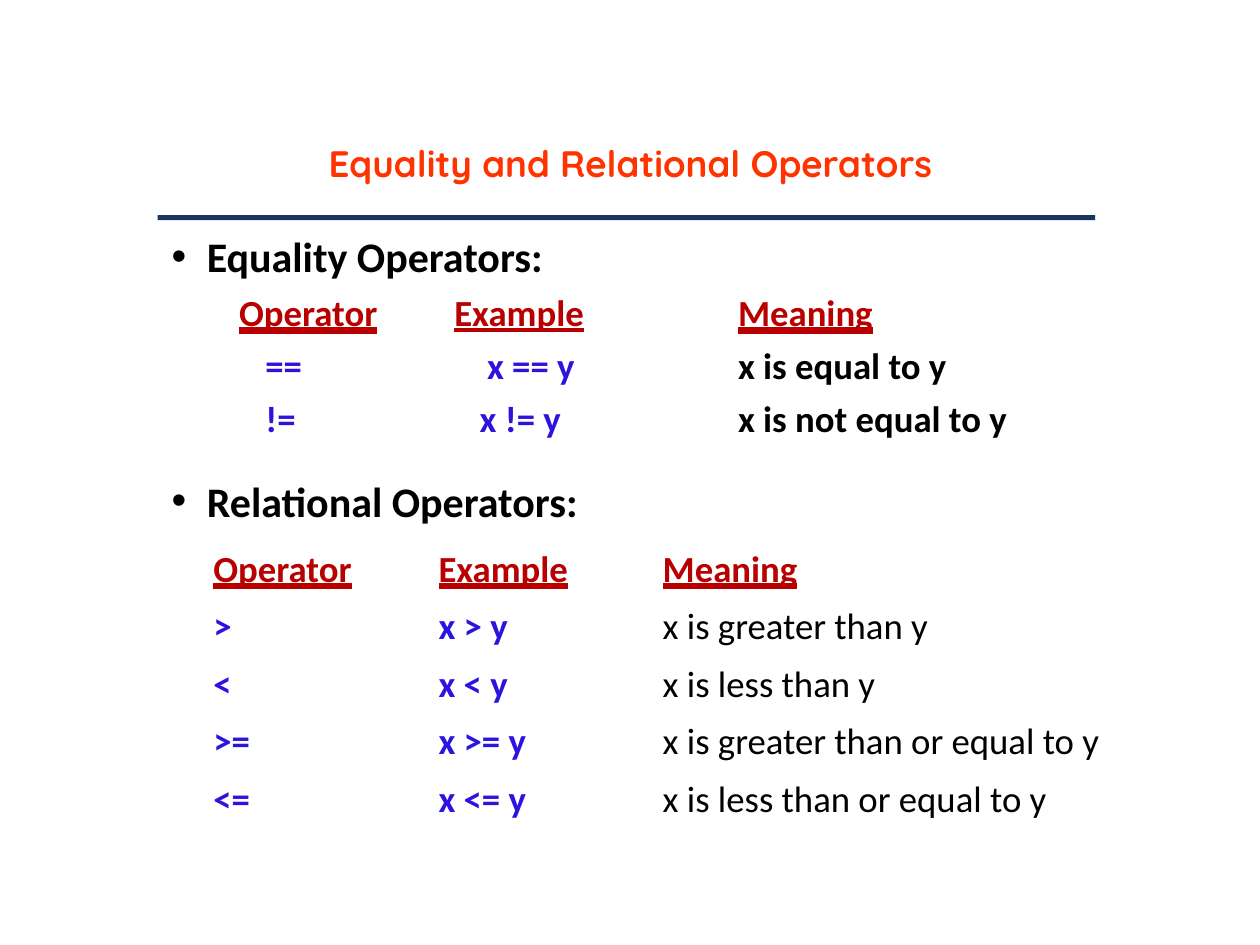
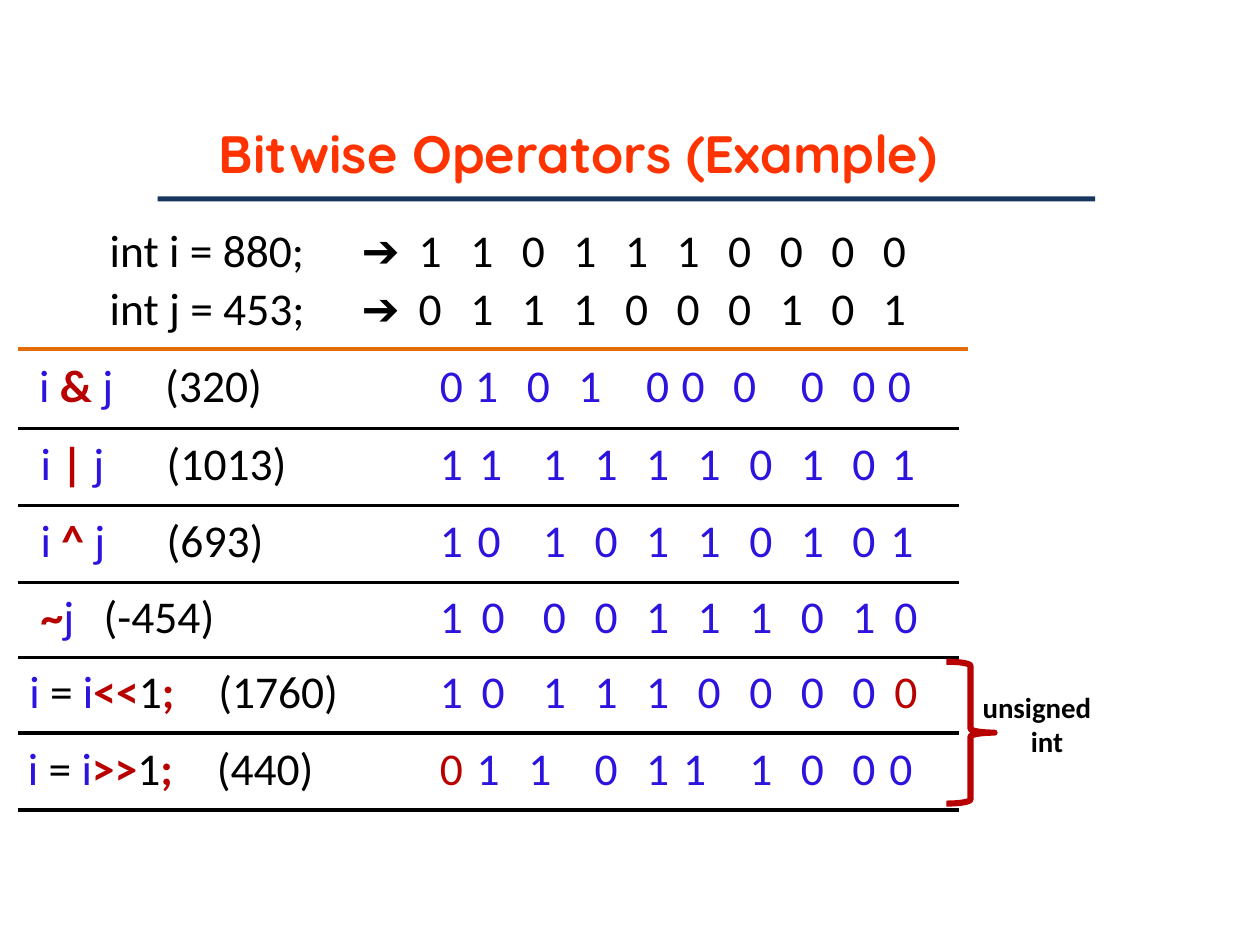
import pptx
import pptx.dml.color
import pptx.enum.shapes
import pptx.enum.text
import pptx.oxml
import pptx.oxml.ns
import pptx.util

Cm = pptx.util.Cm
Pt = pptx.util.Pt
LEFT = pptx.enum.text.PP_ALIGN.LEFT
RIGHT = pptx.enum.text.PP_ALIGN.RIGHT
CENTER = pptx.enum.text.PP_ALIGN.CENTER
HEAVY = pptx.enum.text.MSO_UNDERLINE.HEAVY_LINE

COLOURS = {
    "title": "FF3300", "bar": "17375E", "red": "B80000",
    "blue": "2C13DE", "black": "000000", "orange": "E36C09",
}
NO_TABLE_STYLE = "{2D5ABB26-0587-4C30-8999-92F81FD0307C}"

# Contents
RELATIONS = [
    ("Operator", "Example", "Meaning"),
    (">", "x > y", "x is greater than y"),
    ("<", "x < y", "x is less than y"),
    (">=", "x >= y", "x is greater than or equal to y"),
    ("<=", "x <= y", "x is less than or equal to y"),
]
# label runs, bits, bit alignments, bit indent, label indent, top margin, row height
BITWISE_ROWS = [
    ([("i ", "blue"), ("& ", "red"), ("j\t", "blue"), ("(320)", "black")],
     "0101000000", "rlllrllrrl", 0.25, 0.43, 0.2, 1.6),
    ([("i ", "blue"), ("| ", "red"), ("j\t", "blue"), ("(1013)", "black")],
     "1111110101", "rlrrrrrrrl", 0.33, 0.46, 0.18, 1.55),
    ([("i ", "blue"), ("^ ", "red"), ("j\t", "blue"), ("(693)", "black")],
     "1010110101", "rlrrrrrrrl", 0.3, 0.46, 0.18, 1.55),
    ([("~", "red"), ("j\t", "blue"), ("(-454)", "black")],
     "1000111010", "rlrrrrrrrl", 0.38, 0.46, 0.15, 1.52),
    ([("i ", "blue"), ("= ", "black"), ("i", "blue"), ("<<", "red"),
      ("1", "black"), (";\t", "red"), ("(1760)", "black")],
     "1011100000", "rlrrrrrrrl", 0.38, 0.23, 0.15, 1.52),
    ([("i ", "blue"), ("= ", "black"), ("i", "blue"), (">>", "red"),
      ("1", "black"), (";\t", "red"), ("(440)", "black")],
     "0110111000", "rllrrlrrrl", 0.28, 0.2, 0.18, 1.55),
]
NEW_BITS = {(4, 9), (5, 0)}  # bits shifted in, by row and position


def rgb(name):
    return pptx.dml.color.RGBColor.from_string(COLOURS[name])


def style_font(font, size, colour, bold=False, name="Calibri", underline=None):
    font.name, font.size, font.bold = name, Pt(size), bold
    font.color.rgb = rgb(colour)
    if underline:
        font.underline = underline


def indent(paragraph, left, first=0):
    properties = paragraph._p.get_or_add_pPr()
    properties.set("marL", str(Cm(left)))
    properties.set("indent", str(Cm(first)))


def place(shape, left, top, width, height):
    shape.left, shape.top = Cm(left), Cm(top)
    shape.width, shape.height = Cm(width), Cm(height)


def prepare_frame(shape, top_margin=0.03):
    frame = shape.text_frame
    frame.word_wrap = True
    frame.auto_size = pptx.enum.text.MSO_AUTO_SIZE.NONE
    frame.margin_left = frame.margin_right = frame.margin_bottom = 0
    frame.margin_top = Cm(top_margin)
    return frame


def add_titled_slide(presentation, layout, text, size, box, bar_top):
    slide = presentation.slides.add_slide(presentation.slide_layouts[layout])
    title = slide.shapes.title
    place(title, *box)
    frame = prepare_frame(title)
    frame.vertical_anchor = pptx.enum.text.MSO_ANCHOR.MIDDLE
    frame.text = text
    paragraph = frame.paragraphs[0]
    paragraph.alignment = CENTER
    style_font(paragraph.font, size, "title", True, "Quicksand")

    bar = slide.shapes.add_shape(pptx.enum.shapes.MSO_SHAPE.RECTANGLE,
                                 Cm(3.18), Cm(bar_top), Cm(18.9), Cm(0.1))
    bar.shadow.inherit = False
    bar.fill.solid()
    bar.fill.fore_color.rgb = rgb("bar")
    bar.line.fill.background()
    return slide


def fill_bullet(placeholder, text, top):
    place(placeholder, 3.43, top, 10.54, 1.04)
    frame = prepare_frame(placeholder)
    frame.text = text
    paragraph = frame.paragraphs[0]
    paragraph.space_before = Pt(0)
    indent(paragraph, 0.74, -0.71)
    style_font(paragraph.font, 24, "black", True)


def add_column(slide, left, width, heading, entries, colour, indents, underline=HEAVY):
    box = slide.shapes.add_textbox(Cm(left), Cm(5.64), Cm(width), Cm(3.25))
    frame = prepare_frame(box, 0.2)
    frame.text = "\n".join([heading, *entries])
    for paragraph, left_indent in zip(frame.paragraphs, [0, *indents]):
        indent(paragraph, left_indent)
        style_font(paragraph.font, 21, colour, True)
    for paragraph in frame.paragraphs[1:]:
        paragraph.space_before = Pt(5)
    style_font(frame.paragraphs[0].font, 21, "red", True, underline=underline)


def add_plain_table(slide, left, top, widths, heights):
    frame = slide.shapes.add_table(len(heights), len(widths), Cm(left), Cm(top),
                                   Cm(sum(widths)), Cm(sum(heights)))
    table = frame.table
    table.first_row = table.horz_banding = False
    table._tbl.tblPr.find(pptx.oxml.ns.qn("a:tableStyleId")).text = NO_TABLE_STYLE
    for column, width in zip(table.columns, widths):
        column.width = Cm(width)
    for row, height in zip(table.rows, heights):
        row.height = Cm(height)
    for cell in table.iter_cells():
        cell.fill.background()
        cell.margin_left = cell.margin_right = cell.margin_top = cell.margin_bottom = 0
    return table


def underline_cell(cell, colour, width):
    border = pptx.oxml.parse_xml(
        f'<a:lnB {pptx.oxml.ns.nsdecls("a")} w="{Pt(width)}"><a:solidFill>'
        f'<a:srgbClr val="{COLOURS[colour]}"/></a:solidFill></a:lnB>')
    cell._tc.get_or_add_tcPr().insert(0, border)


def fill_bit(cell, bit, colour, alignment, left_indent):
    paragraph = cell.text_frame.paragraphs[0]
    paragraph.text = bit
    paragraph.alignment = alignment
    if alignment == LEFT:
        indent(paragraph, left_indent)
    style_font(paragraph.font, 26, colour)
    return paragraph


def add_run(paragraph, text, colour, bold=False, name="Calibri"):
    run = paragraph.add_run()
    run.text = text
    style_font(run.font, 26, colour, bold, name)


def add_relation_table(slide):
    table = add_plain_table(slide, 4.22, 11, [3.96, 4.37, 11.2], [0.94] + [1.16] * 4)
    for row, texts in enumerate(RELATIONS):
        for column, (text, left_indent) in enumerate(zip(texts, (0.08, 0.66, 0.81))):
            paragraph = table.cell(row, column).text_frame.paragraphs[0]
            paragraph.text = text
            paragraph.line_spacing = Pt(32.8 if row else 26.6)
            indent(paragraph, left_indent)
            if row == 0:
                style_font(paragraph.font, 21, "red", True, underline=HEAVY)
            elif column < 2:
                style_font(paragraph.font, 21, "blue", True)
            else:
                style_font(paragraph.font, 21, "black")


def add_bitwise_table(slide):
    heights = [1.32, 1.4] + [row[-1] for row in BITWISE_ROWS]
    table = add_plain_table(slide, 0.36, 4.32, [7.7, 1.27] + [1.04] * 8 + [1.68, 0.18],
                            heights)

    # Operands
    operands = [("int i = 880;\t", "1101110000"), ("int j = 453;\t", "0111000101")]
    for row, (label, bits) in enumerate(operands):
        paragraph = table.cell(row, 0).text_frame.paragraphs[0]
        paragraph.alignment = RIGHT
        add_run(paragraph, label, "black")
        add_run(paragraph, "➔", "black", name="Arial")
        paragraphs = [paragraph]
        for column, bit in enumerate(bits, 1):
            paragraphs.append(fill_bit(table.cell(row, column), bit, "black", LEFT,
                                       0.38 if column == 1 else 0.15))
        if row == 0:
            for paragraph in paragraphs:
                paragraph.line_spacing = Pt(37.4)
        else:
            for column in range(11):
                table.cell(row, column).margin_top = Cm(0.05)
    table.cell(0, 11).merge(table.cell(1, 11))
    underline_cell(table.cell(0, 11), "orange", 3)
    for column in range(12):
        underline_cell(table.cell(1, column), "orange", 3)

    # Results
    for index, (label, bits, sides, bit_indent, label_indent, margin, _) in enumerate(BITWISE_ROWS):
        row = index + 2
        paragraph = table.cell(row, 0).text_frame.paragraphs[0]
        indent(paragraph, label_indent)
        for text, colour in label:
            add_run(paragraph, text, colour, colour == "red")
        for position, (bit, side) in enumerate(zip(bits, sides)):
            colour = "red" if (index, position) in NEW_BITS else "blue"
            fill_bit(table.cell(row, position + 1), bit, colour,
                     RIGHT if side == "r" else LEFT, bit_indent)
        for column in range(11):
            table.cell(row, column).margin_top = Cm(margin)
            underline_cell(table.cell(row, column), "black", 2.25)


def add_unsigned_note(slide):
    brace = slide.shapes.add_shape(pptx.enum.shapes.MSO_SHAPE.RIGHT_BRACE,
                                   Cm(19.08), Cm(13.34), Cm(0.97), Cm(2.86))
    brace.shadow.inherit = False
    brace.fill.background()
    brace.line.color.rgb = rgb("red")
    brace.line.width = Pt(3.5)
    box = slide.shapes.add_textbox(Cm(19.81), Cm(13.87), Cm(2.24), Cm(1.45))
    frame = prepare_frame(box)
    frame.text = "unsigned int"
    paragraph = frame.paragraphs[0]
    indent(paragraph, 0.97, -0.97)
    style_font(paragraph.font, 16.5, "black", True)


def main():
    presentation = pptx.Presentation()
    presentation.slide_width, presentation.slide_height = Cm(25.4), Cm(19.05)

    # Equality and relational operators
    slide = add_titled_slide(presentation, 3, "Equality and Relational Operators", 21,
                             (4.57, 2.82, 16.28, 0.91), 4.34)
    fill_bullet(slide.placeholders[1], "Equality Operators:", 4.62)
    fill_bullet(slide.placeholders[2], "Relational Operators:", 9.55)
    add_column(slide, 4.82, 2.84, "Operator", ["==", "!="], "blue", [0.53, 0.53])
    add_column(slide, 9.16, 2.67, "Example", ["x == y", "x != y"], "blue", [0.66, 0.51],
               underline=True)
    add_column(slide, 14.88, 6.25, "Meaning", ["x is equal to y", "x is not equal to y"],
               "black", [0, 0])
    add_relation_table(slide)

    # Bitwise operators
    slide = add_titled_slide(presentation, 5, "Bitwise Operators (Example)", 30,
                             (4.11, 2.41, 15.09, 1.3), 3.96)
    add_bitwise_table(slide)
    add_unsigned_note(slide)

    presentation.save("out.pptx")


if __name__ == "__main__":
    main()
